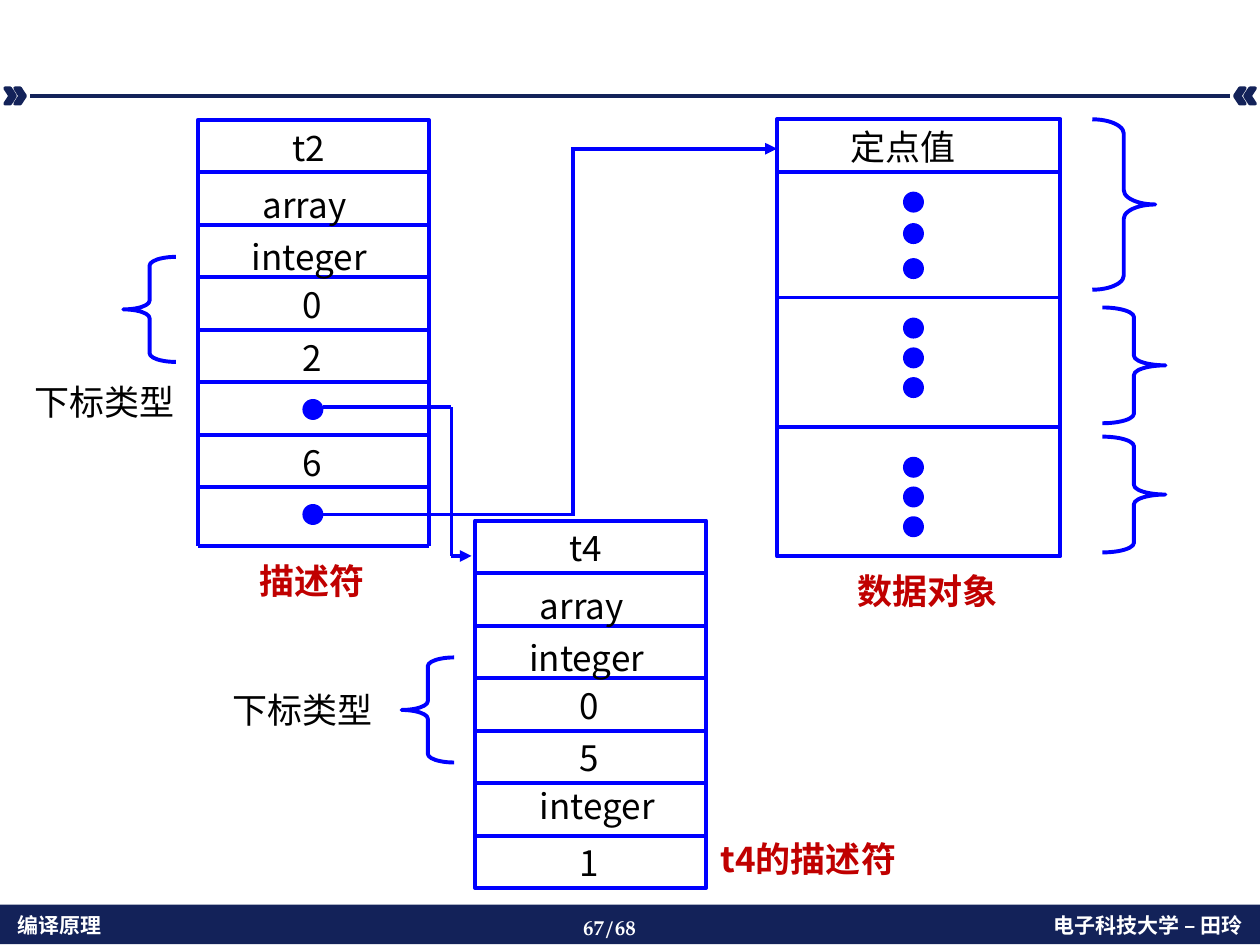
from dataclasses import dataclass

from lxml import etree
from pptx import Presentation
from pptx.dml.color import RGBColor
from pptx.enum.shapes import MSO_CONNECTOR, MSO_SHAPE
from pptx.enum.text import MSO_ANCHOR, MSO_AUTO_SIZE, PP_ALIGN
from pptx.oxml.ns import qn
from pptx.util import Pt

RECT, OVAL, CHEVRON = MSO_SHAPE.RECTANGLE, MSO_SHAPE.OVAL, MSO_SHAPE.CHEVRON
OPEN, CLOSE = MSO_SHAPE.LEFT_BRACE, MSO_SHAPE.RIGHT_BRACE
STRAIGHT = MSO_CONNECTOR.STRAIGHT
LEFT, CENTER, RIGHT = PP_ALIGN.LEFT, PP_ALIGN.CENTER, PP_ALIGN.RIGHT
TOP, MIDDLE = MSO_ANCHOR.TOP, MSO_ANCHOR.MIDDLE
GROW, FIXED = MSO_AUTO_SIZE.SHAPE_TO_FIT_TEXT, MSO_AUTO_SIZE.NONE

NAVY = RGBColor(0x13, 0x22, 0x59)
BLUE = RGBColor(0x00, 0x00, 0xFF)
RED = RGBColor(0xC0, 0x00, 0x00)
BLACK = RGBColor(0x00, 0x00, 0x00)
WHITE = RGBColor(0xFF, 0xFF, 0xFF)
SANS = "Noto Sans CJK SC"
SERIF = "TeX Gyre Pagella"
ROW = 30
DOT = 12


@dataclass
class Grid:
    left: float
    top: float
    width: float
    height: float
    rules: list[float]


@dataclass
class Cell:
    text: str
    dx: float
    dy: float
    width: float


@dataclass
class Brace:
    kind: int
    left: float
    top: float
    width: float
    height: float
    bend: float


@dataclass
class Label:
    text: str
    left: float
    top: float
    width: float
    color: RGBColor


def add_text(shapes, text: str, left: float, top: float, width: float, height: float, *,
             size: float = 20, font: str = SANS, color: RGBColor = BLACK,
             bold: bool = False, align=LEFT, anchor=TOP, wrap: bool = False,
             fit=GROW) -> None:
    frame = shapes.add_textbox(Pt(left), Pt(top), Pt(width), Pt(height)).text_frame
    frame.word_wrap = wrap
    frame.auto_size = fit
    frame.vertical_anchor = anchor
    para = frame.paragraphs[0]
    para.alignment = align
    run = para.add_run()
    run.text = text
    run.font.size, run.font.bold, run.font.name = Pt(size), bold, font
    run.font.color.rgb = color
    east = etree.SubElement(run.font._element, qn("a:ea"))
    east.set("typeface", font)
    run.font._element.find(qn("a:latin")).addnext(east)


def add_shape(shapes, kind: int, left: float, top: float, width: float, height: float, *,
              fill: RGBColor | None = None, line: RGBColor | None = None,
              weight: float = 2.25):
    shape = shapes.add_shape(kind, Pt(left), Pt(top), Pt(width), Pt(height))
    shape.shadow.inherit = False
    if fill is None:
        shape.fill.background()
    else:
        shape.fill.solid()
        shape.fill.fore_color.rgb = fill
    if line is None:
        shape.line.fill.background()
    else:
        shape.line.color.rgb = line
        shape.line.width = Pt(weight)
    return shape


def add_line(shapes, x1: float, y1: float, x2: float, y2: float, *,
             color: RGBColor = BLUE, weight: float = 2.25, arrow: bool = False) -> None:
    line = shapes.add_connector(STRAIGHT, Pt(x1), Pt(y1), Pt(x2), Pt(y2))
    line.line.color.rgb = color
    line.line.width = Pt(weight)
    if arrow:
        etree.SubElement(line.line._get_or_add_ln(), qn("a:tailEnd"), type="triangle")
    etree.SubElement(line._element.spPr, qn("a:effectLst"))


def draw_grid(shapes, grid: Grid) -> None:
    add_shape(shapes, RECT, grid.left, grid.top, grid.width, grid.height, line=BLUE)
    for rule in grid.rules:
        y = grid.top + rule
        add_line(shapes, grid.left, y, grid.left + grid.width, y)


def draw_cells(shapes, grid: Grid, cells: list[Cell]) -> None:
    for cell in cells:
        add_text(shapes, cell.text, grid.left + cell.dx, grid.top + cell.dy, cell.width, 31)


def draw_brace(shapes, brace: Brace) -> None:
    shape = add_shape(shapes, brace.kind, brace.left, brace.top,
                      brace.width, brace.height, line=BLUE)
    shape.adjustments[0] = brace.bend
    shape.adjustments[1] = 0.5


def draw_frame(shapes) -> None:
    add_shape(shapes, RECT, 0, 517, 720, 22.5, fill=NAVY)
    for left, flip in ((2.9, False), (8.6, False), (711.4, True), (705.6, True)):
        mark = add_shape(shapes, CHEVRON, left, 50.4, 5.8, 8.9, fill=NAVY, line=NAVY, weight=2)
        if flip:
            mark._element.spPr.find(qn("a:xfrm")).set("flipH", "1")
    add_line(shapes, 17.3, 54.9, 702.7, 54.9, color=NAVY, weight=2)
    style = dict(size=12, color=WHITE, bold=True, wrap=True)
    add_text(shapes, "编译原理", 2.9, 517.7, 212, 21.6, **style)
    add_text(shapes, "电子科技大学 – 田玲", 502, 517.7, 215.3, 21.6, align=RIGHT, **style)
    add_text(shapes, "67/68", 326.2, 519.1, 67.7, 21.6, font=SERIF, **style)


def head_cells(name: str, high: str) -> list[Cell]:
    return [
        Cell(name, 46.8, 0, 34.6), Cell("array", 30, 33, 64.8),
        Cell("integer", 23.8, 62.8, 84.2),
        Cell("0", 52.6, 3 * ROW, 26.6), Cell(high, 52.6, 4 * ROW, 26.6),
    ]


def main() -> None:
    deck = Presentation()
    deck.slide_width, deck.slide_height = Pt(720), Pt(540)
    shapes = deck.slides.add_slide(deck.slide_layouts[6]).shapes
    draw_frame(shapes)

    rows = [ROW * i for i in range(1, 7)]
    outer = Grid(113, 68.5, 132, 7 * ROW, rows)
    inner = Grid(271.5, 297.5, 132, 7 * ROW, rows)
    data = Grid(444, 68, 162, 250, [30.5, 102, 176])
    for grid in (outer, inner, data):
        draw_grid(shapes, grid)
    draw_cells(shapes, outer, head_cells("t2", "2") + [Cell("6", 52.6, 6 * ROW, 26.6)])
    draw_cells(shapes, inner, head_cells("t4", "5") + [
        Cell("integer", 30, 147, 84.2), Cell("1", 52.6, 6 * ROW, 26.6)])
    draw_cells(shapes, data, [Cell("定点值", 34.8, 0, 78)])

    base = 312
    end = outer.left + outer.width
    add_line(shapes, outer.left, base, end, base)
    for x in (outer.left, end):
        add_line(shapes, x, base, x, 276)

    for brace in (
        Brace(OPEN, 70.5, 146.8, 30, 60, 0.167),
        Brace(OPEN, 229.5, 375.7, 30, 60, 0.167),
        Brace(CLOSE, 624.2, 68.2, 36, 97.4, 0.226),
        Brace(CLOSE, 630, 175.7, 36, 66.2, 0.153),
        Brace(CLOSE, 630, 249.5, 36, 66.2, 0.153),
    ):
        draw_brace(shapes, brace)

    dots = [(516, y) for y in (109.5, 127.5, 147.5)]
    dots += [(516, top + 17 * i) for top in (181.5, 261) for i in range(3)]
    dots += [(172.8, 228), (172.8, 288)]
    for x, y in dots:
        add_shape(shapes, OVAL, x, y, DOT, DOT, fill=BLUE)

    add_line(shapes, 184.5, 232.7, 258, 232.7)
    add_line(shapes, 258, 232.7, 258, 317.7)
    add_line(shapes, 258, 317.7, 269.5, 317.7, arrow=True)
    add_line(shapes, 178.8, 294, 328.7, 294)
    add_line(shapes, 327.6, 294, 327.6, 85)
    add_line(shapes, 326.2, 85, data.left, 85, arrow=True)

    for label in (
        Label("描述符", 133, 317.5, 90.7, RED),
        Label("t4的描述符", 399.6, 476.6, 124.6, RED),
        Label("数据对象", 484.6, 323.3, 90.7, RED),
        Label("下标类型", 127.4, 391.7, 90.7, BLACK),
        Label("下标类型", 14.4, 215.3, 90.7, BLACK),
    ):
        add_text(shapes, label.text, label.left, label.top, label.width, 28,
                 color=label.color, bold=label.color == RED,
                 align=CENTER, anchor=MIDDLE, fit=FIXED)

    deck.save("out.pptx")


if __name__ == "__main__":
    main()
